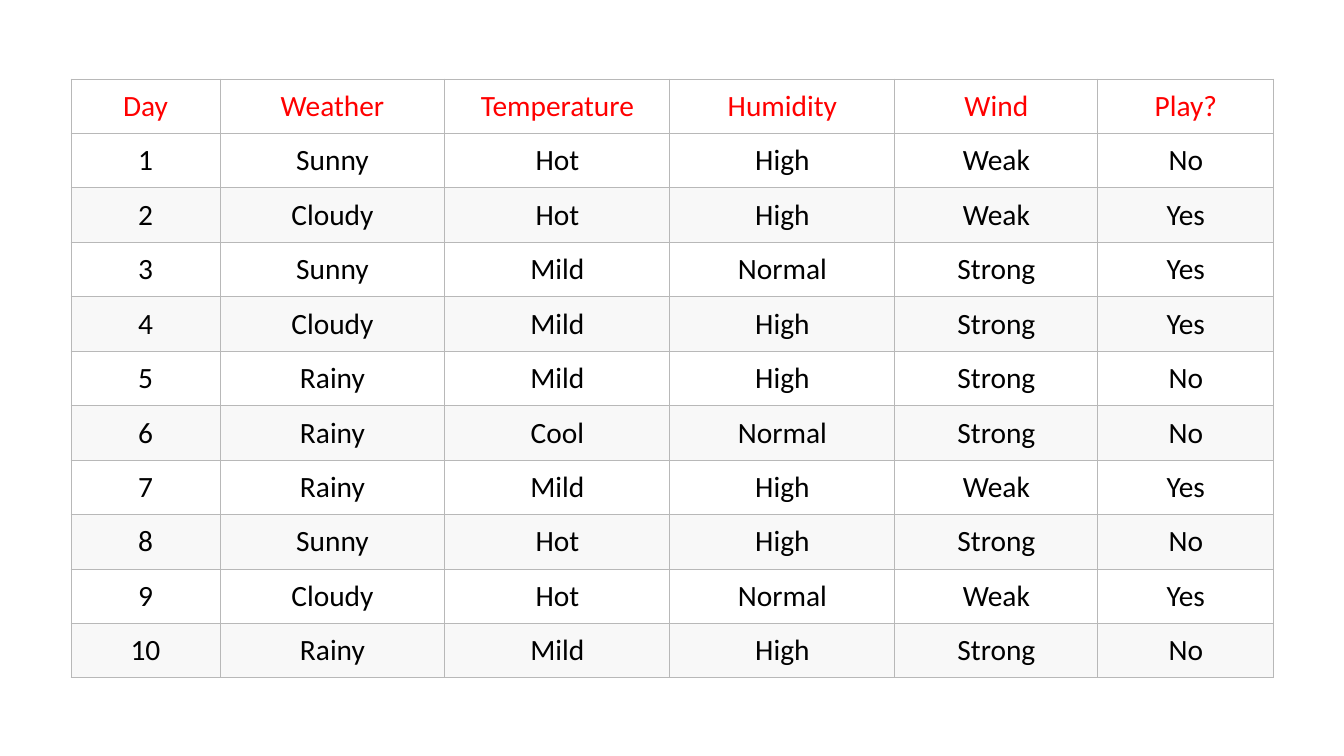
from pptx import Presentation
from pptx import util as u
from pptx.dml.color import RGBColor
from pptx.enum import text
from pptx.oxml import parse_xml
from pptx.oxml.ns import nsdecls

PX = u.Inches(1) / 100.8

RED = RGBColor(0xFF, 0x00, 0x00)
BLACK = RGBColor(0x00, 0x00, 0x00)
WHITE = RGBColor(0xFF, 0xFF, 0xFF)
PALE_GREY = RGBColor(0xF8, 0xF8, 0xF8)
BORDER_GREY = RGBColor(0xB8, 0xB8, 0xB8)

HEADINGS = ("Day", "Weather", "Temperature", "Humidity", "Wind", "Play?")
DAYS = (
    ("Sunny", "Hot", "High", "Weak", "No"),
    ("Cloudy", "Hot", "High", "Weak", "Yes"),
    ("Sunny", "Mild", "Normal", "Strong", "Yes"),
    ("Cloudy", "Mild", "High", "Strong", "Yes"),
    ("Rainy", "Mild", "High", "Strong", "No"),
    ("Rainy", "Cool", "Normal", "Strong", "No"),
    ("Rainy", "Mild", "High", "Weak", "Yes"),
    ("Sunny", "Hot", "High", "Strong", "No"),
    ("Cloudy", "Hot", "Normal", "Weak", "Yes"),
    ("Rainy", "Mild", "High", "Strong", "No"),
)
COLUMN_WIDTHS = (149, 225, 225, 225, 203, 176)
TABLE_LEFT, TABLE_TOP, TABLE_HEIGHT = 71, 79, 599


def px(length):
    return u.Emu(round(length * PX))


def apply_format(target, values):
    for name, value in values.items():
        setattr(target, name, value)


def add_borders(cell):
    properties = cell._tc.get_or_add_tcPr()
    for side in "LRTB":
        properties.append(parse_xml(
            f'<a:ln{side} {nsdecls("a")} w="{u.Pt(0.75)}"><a:solidFill>'
            f'<a:srgbClr val="{BORDER_GREY}"/></a:solidFill></a:ln{side}>'))


def fill_cell(cell, wording, font_color, background):
    apply_format(cell, {
        "vertical_anchor": text.MSO_ANCHOR.MIDDLE,
        "margin_left": px(16), "margin_right": px(16),
        "margin_top": px(7), "margin_bottom": px(7),
    })
    add_borders(cell)
    cell.fill.solid()
    cell.fill.fore_color.rgb = background

    para = cell.text_frame.paragraphs[0]
    para.alignment = text.PP_ALIGN.CENTER
    span = para.add_run()
    span.text = wording
    apply_format(span.font, {"name": "Calibri", "size": u.Pt(21), "bold": False})
    span.font.color.rgb = font_color


def add_weather_table(page):
    records = [HEADINGS] + [(str(day), *record)
                            for day, record in enumerate(DAYS, start=1)]
    table = page.shapes.add_table(
        len(records), len(HEADINGS), px(TABLE_LEFT), px(TABLE_TOP),
        px(sum(COLUMN_WIDTHS)), px(TABLE_HEIGHT)).table
    apply_format(table, {"first_row": False, "horz_banding": False})
    for column, width in zip(table.columns, COLUMN_WIDTHS):
        column.width = px(width)

    # Red headings, then days with every second row shaded
    for row, record in enumerate(records):
        font_color = BLACK if row else RED
        background = PALE_GREY if row and row % 2 == 0 else WHITE
        for column, wording in enumerate(record):
            fill_cell(table.cell(row, column), wording, font_color, background)


def main():
    deck = Presentation()
    apply_format(deck, {"slide_width": px(1344), "slide_height": px(756)})
    page = deck.slides.add_slide(deck.slide_layouts[6])
    add_weather_table(page)
    deck.save("out.pptx")


if __name__ == "__main__":
    main()
